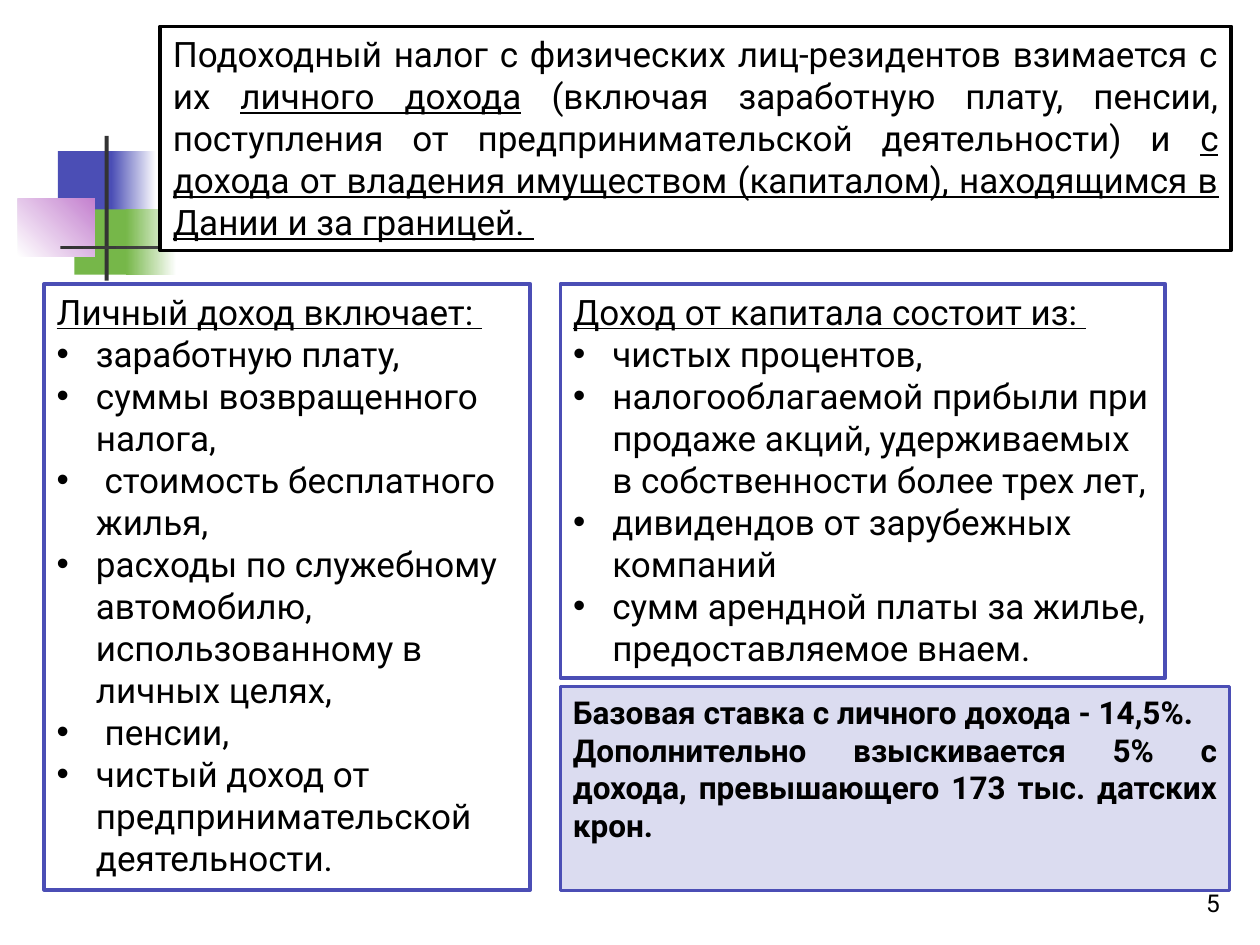
from lxml import etree
from pptx import Presentation
from pptx import util as u
from pptx.dml.color import RGBColor
from pptx.enum import shapes, text
from pptx.oxml.ns import qn

BLACK = RGBColor(0x00, 0x00, 0x00)
WHITE = RGBColor(0xFF, 0xFF, 0xFF)
BLUE = RGBColor(0x4B, 0x4E, 0xB5)
GREEN = RGBColor(0x76, 0xB7, 0x49)
PINK = RGBColor(0xC4, 0x81, 0xCF)
GREY = RGBColor(0x33, 0x33, 0x33)
LAVENDER = RGBColor(0xDB, 0xDC, 0xF0)
FONT = "Roboto"
INDENT = u.Cm(0.79)

ORNAMENT = [
    ((1.17, 3.05, 1.22, 1.32), (BLUE,), 0),
    ((2.24, 3.05, 0.91, 1.32), (BLUE, WHITE), 0),
    ((1.5, 4.22, 1.17, 1.32), (GREEN,), 0),
    ((2.54, 4.22, 1.02, 1.32), (GREEN, WHITE), 0),
    ((0.36, 4.01, 1.55, 1.17), (WHITE, PINK), 45),
    ((2.11, 2.74, 0.08, 2.92), (GREY,), 0),
    ((1.22, 4.95, 22.86, 0.08), (GREY, WHITE), 0),
]
TAX_BASE = [
    ("Подоходный налог с физических лиц-резидентов взимается с их ", False),
    ("личного дохода", True),
    (" (включая заработную плату, пенсии, поступления от "
     "предпринимательской деятельности) и ", False),
    ("с дохода от владения имуществом (капиталом), находящимся в Дании "
     "и за границей. ", True),
]
INCOME_LISTS = [
    ((0.89, 5.72, 9.8, 12.22), "Личный доход включает: ", [
        "заработную плату,",
        "суммы возвращенного налога,",
        " стоимость бесплатного жилья,",
        "расходы по служебному автомобилю, использованному в личных целях,",
        " пенсии,",
        "чистый доход от предпринимательской деятельности.",
    ]),
    ((11.3, 5.72, 12.19, 7.95), "Доход от капитала состоит из: ", [
        "чистых процентов,",
        "налогооблагаемой прибыли при продаже акций, удерживаемых "
        "в собственности более трех лет,",
        "дивидендов от зарубежных компаний",
        "сумм арендной платы за жилье, предоставляемое внаем.",
    ]),
]
RATES = [
    "Базовая ставка с личного дохода - 14,5%.",
    "Дополнительно взыскивается 5% с дохода, превышающего "
    "173 тыс. датских крон.",
]


def place(part, box):
    part.left, part.top, part.width, part.height = map(u.Cm, box)


def frame(part, box, fill, border):
    place(part, box)
    part.fill.solid()
    part.fill.fore_color.rgb = fill
    part.line.color.rgb = border
    part.line.width = u.Pt(2)
    body = part.text_frame
    body.word_wrap = True
    body.auto_size = text.MSO_AUTO_SIZE.NONE
    body.vertical_anchor = text.MSO_ANCHOR.TOP
    return body


def style(paragraph, size, align=text.PP_ALIGN.LEFT, bold=False):
    paragraph.alignment = align
    paragraph.space_before = u.Pt(0)
    font = paragraph.font
    font.name, font.size, font.bold = FONT, u.Pt(size), bold
    font.color.rgb = BLACK


def set_bullet(paragraph, bulleted):
    props = paragraph._p.get_or_add_pPr()
    props.set("marL", str(INDENT if bulleted else 0))
    props.set("indent", str(-INDENT if bulleted else 0))
    font = props.find(qn("a:defRPr"))
    bullet = etree.Element(qn("a:buChar" if bulleted else "a:buNone"))
    if bulleted:
        bullet.set("char", "•")
    font.addprevious(bullet)


def add_ornament(slide):
    for box, colours, angle in ORNAMENT:
        block = slide.shapes.add_shape(
            shapes.MSO_SHAPE.RECTANGLE, *map(u.Cm, box))
        block.shadow.inherit = False
        block.line.fill.background()
        if len(colours) == 1:
            block.fill.solid()
            block.fill.fore_color.rgb = colours[0]
        else:
            block.fill.gradient()
            block.fill.gradient_angle = angle
            for stop, colour in zip(block.fill.gradient_stops, colours):
                stop.color.rgb = colour
        slide.shapes._spTree.remove(block._element)
        slide.shapes.title._element.addprevious(block._element)


def main():
    prs = Presentation()
    prs.slide_width, prs.slide_height = u.Cm(25.4), u.Cm(19.05)
    slide = prs.slides.add_slide(prs.slide_layouts[3])
    add_ornament(slide)

    title = frame(slide.shapes.title, (3.23, 0.53, 21.59, 4.52), WHITE, BLACK)
    statement = title.paragraphs[0]
    style(statement, 20, text.PP_ALIGN.JUSTIFY)
    for words, underlined in TAX_BASE:
        run = statement.add_run()
        run.text = words
        run.font.underline = underlined

    for idx, (box, heading, items) in enumerate(INCOME_LISTS, start=1):
        income = frame(slide.placeholders[idx], box, WHITE, BLUE)
        income.text = "\n".join([heading, *items])
        for row, paragraph in enumerate(income.paragraphs):
            style(paragraph, 20)
            paragraph.font.underline = row == 0
            set_bullet(paragraph, row > 0)

    rates_box = slide.shapes.add_textbox(0, 0, 0, 0)
    rates = frame(rates_box, (11.3, 13.84, 13.49, 4.11), LAVENDER, BLUE)
    rates.text = "\n".join(RATES)
    for paragraph in rates.paragraphs:
        style(paragraph, 18, text.PP_ALIGN.JUSTIFY, bold=True)

    page = slide.shapes.add_textbox(0, 0, 0, 0)
    place(page, (19.56, 17.35, 5.28, 1.27))
    page.text_frame.word_wrap = True
    page.text_frame.vertical_anchor = text.MSO_ANCHOR.BOTTOM
    page.text_frame.text = "5"
    style(page.text_frame.paragraphs[0], 14, text.PP_ALIGN.RIGHT)

    prs.save("out.pptx")


if __name__ == "__main__":
    main()
